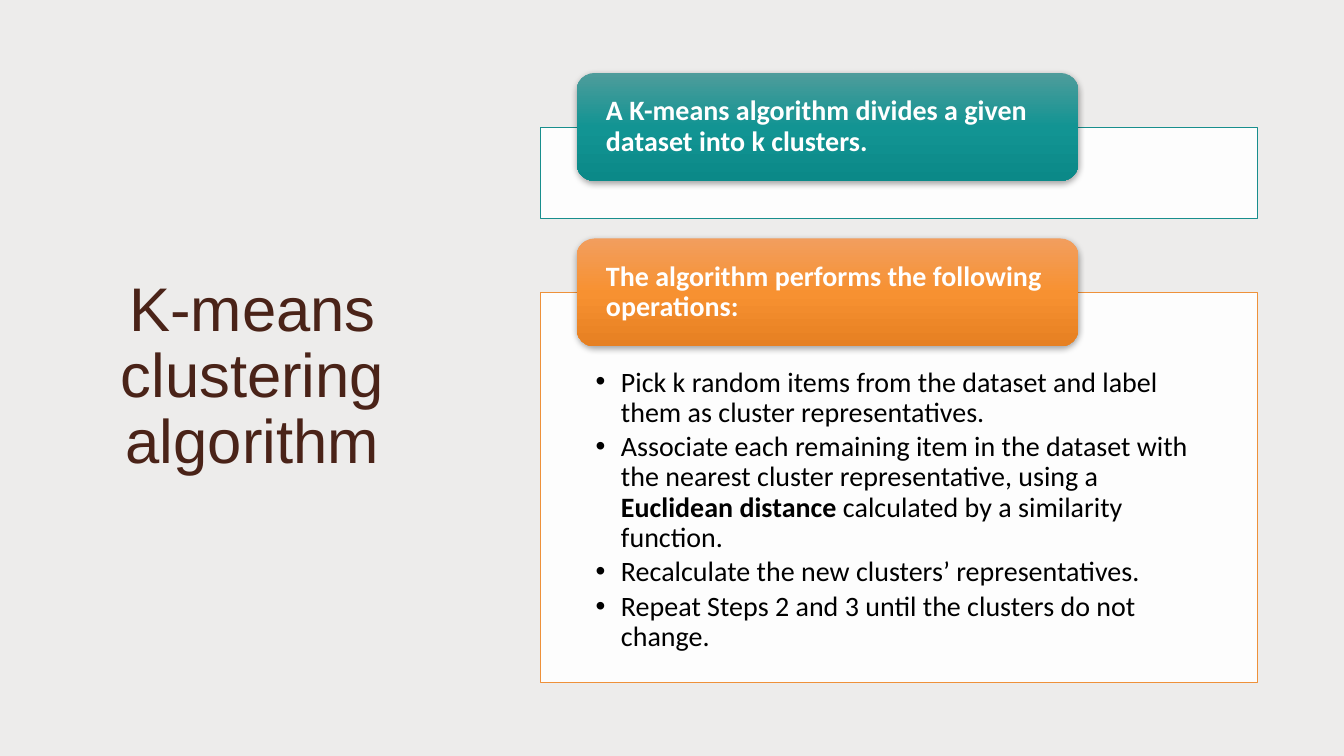
from dataclasses import dataclass

from lxml import etree
from pptx import Presentation
from pptx.dml.color import RGBColor
from pptx.enum.shapes import MSO_SHAPE
from pptx.enum.text import MSO_ANCHOR, PP_ALIGN
from pptx.oxml.ns import qn
from pptx.shapes.autoshape import Shape
from pptx.slide import Slide
from pptx.text.text import TextFrame, _Paragraph
from pptx.util import Cm, Pt

RECT, ROUND = MSO_SHAPE.RECTANGLE, MSO_SHAPE.ROUNDED_RECTANGLE
TOP, MIDDLE = MSO_ANCHOR.TOP, MSO_ANCHOR.MIDDLE
LEFT, CENTER = PP_ALIGN.LEFT, PP_ALIGN.CENTER

PANEL_X, PANEL_W = 13.61, 18.08
TAB_X, TAB_W, TAB_H = 14.53, 12.65, 2.72


@dataclass
class Section:
    head: str
    top: float
    height: float
    line: str
    shades: tuple[str, ...]
    steps: tuple[tuple[str, ...], ...] = ()  # every second part is bold


SECTIONS = [
    Section("A K-means algorithm divides a given dataset into k clusters.",
            3.2, 2.31, "188E8D", ("4E9C9B", "129493", "0B8988")),
    Section("The algorithm performs the following operations:",
            7.37, 9.83, "EE913A", ("F29E5E", "F79131", "E68022"), (
                ("Pick k random items from the dataset and label them as "
                 "cluster representatives.",),
                ("Associate each remaining item in the dataset with the "
                 "nearest cluster representative, using a ",
                 "Euclidean distance",
                 " calculated by a similarity function."),
                ("Recalculate the new clusters’ representatives.",),
                ("Repeat Steps 2 and 3 until the clusters do not change.",),
            )),
]


def color(code: str) -> RGBColor:
    return RGBColor.from_string(code)


def add_node(parent: etree._Element, tag: str, **attrs: str) -> etree._Element:
    return etree.SubElement(parent, qn(tag), attrs)


def set_frame(frame: TextFrame, anchor: MSO_ANCHOR, side: float,
              top: float, bottom: float) -> None:
    frame.word_wrap = True
    frame.vertical_anchor = anchor
    frame.margin_left = frame.margin_right = Cm(side)
    frame.margin_top, frame.margin_bottom = Cm(top), Cm(bottom)


def style(para: _Paragraph, size: int, face: str, code: str,
          align: PP_ALIGN = LEFT, lines: float = 0.9, after: int = 0) -> None:
    para.alignment = align
    para.line_spacing = lines
    para.space_after = Pt(after)
    para.font.size = Pt(size)
    para.font.name = face
    para.font.color.rgb = color(code)


def add_box(slide: Slide, kind: MSO_SHAPE, x: float, y: float,
            w: float, h: float) -> Shape:
    box = slide.shapes.add_shape(kind, Cm(x), Cm(y), Cm(w), Cm(h))
    box.shadow.inherit = False
    return box


def add_panel(slide: Slide, part: Section) -> None:
    panel = add_box(slide, RECT, PANEL_X, part.top, PANEL_W, part.height)
    panel.fill.solid()
    panel.fill.fore_color.rgb = color("FFFFFF")
    fill = panel.fill._xPr.find(qn("a:solidFill"))
    add_node(fill[0], "a:alpha", val="90000")
    panel.line.color.rgb = color(part.line)
    panel.line.width = Pt(0.5)

    frame = panel.text_frame
    set_frame(frame, TOP, 1.4, 1.9, 0.4)
    for i, step in enumerate(part.steps):
        para = frame.add_paragraph() if i else frame.paragraphs[0]
        props = para._p.get_or_add_pPr()
        props.set("marL", str(Cm(0.64)))
        props.set("indent", str(Cm(-0.64)))
        add_node(props, "a:buFont", typeface="Arial")
        add_node(props, "a:buChar", char="•")
        style(para, 20, "Calibri", "000000", after=3)
        for j, words in enumerate(step):
            run = para.add_run()
            run.text = words
            if j % 2:
                run.font.bold = True


def add_tab(slide: Slide, part: Section) -> None:
    """Add the heading that straddles the top edge of its panel."""
    tab = add_box(slide, ROUND, TAB_X, part.top - TAB_H / 2, TAB_W, TAB_H)
    tab.line.fill.background()
    tab.fill.gradient()
    tab.fill.gradient_angle = 270
    props = tab.fill._xPr
    stops = props.find(qn("a:gradFill")).find(qn("a:gsLst"))
    stops.clear()
    for i, shade in enumerate(part.shades):
        stop = add_node(stops, "a:gs", pos=str(i * 50000))
        add_node(stop, "a:srgbClr", val=shade)
    shadow = add_node(props.find(qn("a:effectLst")), "a:outerShdw",
                      blurRad=str(Pt(4.5)), dist=str(Pt(1.5)),
                      dir="5400000", algn="ctr", rotWithShape="0")
    black = add_node(shadow, "a:srgbClr", val="000000")
    add_node(black, "a:alpha", val="35000")

    set_frame(tab.text_frame, MIDDLE, 0.61, 0, 0)
    para = tab.text_frame.paragraphs[0]
    para.text = part.head
    style(para, 20, "Calibri", "FFFFFF", after=7)
    para.font.bold = True


def add_title(slide: Slide) -> None:
    box = slide.shapes.add_textbox(Cm(1.78), Cm(1.78), Cm(9.17), Cm(15.49))
    set_frame(box.text_frame, MIDDLE, 0.25, 0.13, 0.13)
    para = box.text_frame.paragraphs[0]
    para.text = "K-means clustering algorithm"
    style(para, 44, "Arial", "4A2318", CENTER, 0.89)


def main() -> None:
    deck = Presentation()
    deck.slide_width, deck.slide_height = Cm(33.87), Cm(19.05)
    slide = deck.slides.add_slide(deck.slide_layouts[6])
    slide.background.fill.solid()
    slide.background.fill.fore_color.rgb = color("EDECEB")
    add_title(slide)
    for part in SECTIONS:
        add_panel(slide, part)
        add_tab(slide, part)
    deck.save("out.pptx")


if __name__ == "__main__":
    main()
